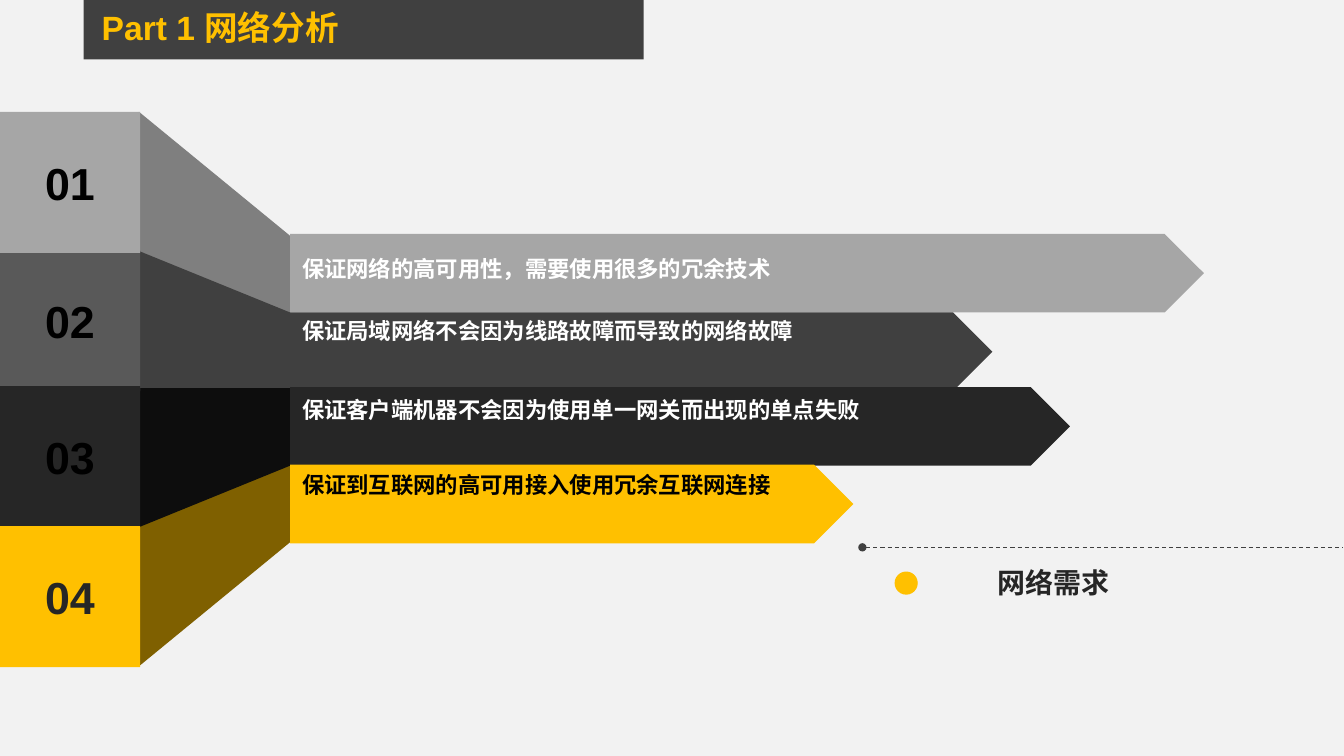
from lxml import etree
from pptx import Presentation
from pptx.dml.color import RGBColor
from pptx.enum.dml import MSO_LINE
from pptx.enum.shapes import MSO_CONNECTOR, MSO_SHAPE
from pptx.enum.text import MSO_ANCHOR, MSO_AUTO_SIZE, PP_ALIGN
from pptx.oxml.ns import qn
from pptx.util import Inches, Pt

RECTANGLE, ARROW, OVAL = MSO_SHAPE.RECTANGLE, MSO_SHAPE.PENTAGON, MSO_SHAPE.OVAL
LEFT, CENTER = PP_ALIGN.LEFT, PP_ALIGN.CENTER
TOP, MIDDLE = MSO_ANCHOR.TOP, MSO_ANCHOR.MIDDLE
STRAIGHT, DASH, NO_AUTOFIT = MSO_CONNECTOR.STRAIGHT, MSO_LINE.DASH, MSO_AUTO_SIZE.NONE

BACKGROUND = RGBColor(0xF2, 0xF2, 0xF2)
WHITE = RGBColor(0xFF, 0xFF, 0xFF)
BLACK = RGBColor(0x00, 0x00, 0x00)
YELLOW = RGBColor(0xFF, 0xC0, 0x00)
DARK_YELLOW = RGBColor(0x7F, 0x60, 0x00)
LIGHT_GRAY = RGBColor(0xA6, 0xA6, 0xA6)
MID_GRAY = RGBColor(0x7F, 0x7F, 0x7F)
SLATE = RGBColor(0x59, 0x59, 0x59)
DARK_GRAY = RGBColor(0x40, 0x40, 0x40)
CHARCOAL = RGBColor(0x26, 0x26, 0x26)
NEAR_BLACK = RGBColor(0x0D, 0x0D, 0x0D)

FONT = "Arial"
CELL_WIDTH, CELL_HEIGHT = 1.39, 1.4
ARROW_LEFT, ARROW_HEIGHT = 2.88, 0.78

# number, top, fill, number colour; the first cell overlaps the second
CELLS = [
    ("02", 1.37, SLATE, BLACK),
    ("03", 2.72, CHARCOAL, BLACK),
    ("04", 4.11, YELLOW, CHARCOAL),
    ("01", 0, LIGHT_GRAY, BLACK),
]
# outer edge at the cells, outer edge at the arrows, inner edge, fill
FACES = [
    (0, 1.23, 2.76, MID_GRAY),
    (1.38, 1.99, 2.76, DARK_GRAY),
    (5.5, 4.27, 2.74, DARK_YELLOW),
    (4.12, 3.51, 2.74, NEAR_BLACK),
]
# label, top, width, fill, text colour, label offset, label width
ARROWS = [
    ("保证网络的高可用性，需要使用很多的冗余技术", 1.21, 9.07, LIGHT_GRAY, WHITE, 0.16, 4.85),
    ("保证局域网络不会因为线路故障而导致的网络故障", 1.99, 6.97, DARK_GRAY, WHITE, 0, 5.12),
    ("保证客户端机器不会因为使用单一网关而出现的单点失败", 2.73, 7.74, CHARCOAL, WHITE, 0.04, 5.74),
    ("保证到互联网的高可用接入使用冗余互联网连接", 3.5, 5.59, YELLOW, BLACK, 0.01, 4.85),
]


def paint(shape, color):
    shape.shadow.inherit = False
    shape.fill.solid()
    shape.fill.fore_color.rgb = color
    shape.line.fill.background()


def add_block(slide, kind, box, color):
    shape = slide.shapes.add_shape(kind, *map(Inches, box))
    paint(shape, color)
    return shape


def write(shape, text, size, color, align=LEFT, anchor=TOP, wrap=True, line_spacing=None):
    frame = shape.text_frame
    frame.auto_size = NO_AUTOFIT
    frame.word_wrap = wrap
    frame.vertical_anchor = anchor
    paragraph = frame.paragraphs[0]
    paragraph.text = text
    paragraph.alignment = align
    paragraph.space_before = Pt(0)
    paragraph.line_spacing = line_spacing
    font = paragraph.runs[0].font
    font.name, font.size, font.bold = FONT, Pt(size), True
    font.color.rgb = color


def add_label(slide, box, text, size, color, **text_format):
    label = slide.shapes.add_textbox(*map(Inches, box))
    write(label, text, size, color, wrap=False, **text_format)


def add_header(slide, box):
    left, top, width, height = box
    add_block(slide, RECTANGLE, box, DARK_GRAY)
    title = slide.shapes.title
    title.left, title.top = Inches(left + 0.08), Inches(top + 0.06)
    title.width, title.height = Inches(3.74), Inches(0.51)
    write(title, "Part 1 网络分析", 24, YELLOW, line_spacing=0.9)
    # The title belongs in front of its bar
    title.element.getparent().append(title.element)


def add_faces(slide, box):
    """Draw the slanted faces that join the number cells to the arrows."""
    left, top, width, height = box
    right = left + width
    for near, far, inner, color in FACES:
        corners = [(right, far), (left, near), (left, inner), (right, inner)]
        points = [(Inches(x), Inches(top + y)) for x, y in corners]
        builder = slide.shapes.build_freeform(*points[0])
        builder.add_line_segments(points[1:])
        paint(builder.convert_to_shape(), color)


def add_cells(slide, box):
    left, top, width, height = box
    for number, offset, fill, color in CELLS:
        cell = add_block(slide, RECTANGLE, (left, top + offset, width, CELL_HEIGHT), fill)
        write(cell, number, 32, color, align=CENTER, anchor=MIDDLE)


def add_arrows(slide, box):
    left, top = box[:2]
    for text, offset, width, fill, color, label_offset, label_width in ARROWS:
        arrow_top = top + offset
        add_block(slide, ARROW, (left, arrow_top, width, ARROW_HEIGHT), fill)
        label_box = (left + 0.02, arrow_top + label_offset, label_width, 0.37)
        add_label(slide, label_box, text, 16, color)


def add_footer(slide, box):
    """Draw the dashed rule with the dot and topic below it."""
    left, top, width, height = box
    rule = slide.shapes.add_connector(
        STRAIGHT, Inches(left), Inches(top), Inches(left + width), Inches(top))
    rule.line.color.rgb = DARK_GRAY
    rule.line.width = Pt(0.75)
    rule.line.dash_style = DASH
    etree.SubElement(rule.line._get_or_add_ln(), qn("a:headEnd"), type="oval")
    etree.SubElement(rule.element.spPr, qn("a:effectLst"))
    add_label(slide, (left + 1.24, top + 0.13, 1.31, 0.44), "网络需求", 20, CHARCOAL, align=CENTER)
    add_block(slide, OVAL, (left + 0.32, top + 0.24, 0.23, 0.23), YELLOW)


def main():
    presentation = Presentation()
    presentation.slide_width, presentation.slide_height = Inches(13.34), Inches(7.5)
    slide = presentation.slides.add_slide(presentation.slide_layouts[5])
    slide.background.fill.solid()
    slide.background.fill.fore_color.rgb = BACKGROUND
    add_header(slide, (0.83, 0, 5.56, 0.59))
    add_faces(slide, (1.38, 1.11, 1.5, 5.5))
    add_cells(slide, (0, 1.11, CELL_WIDTH, 5.51))
    add_arrows(slide, (ARROW_LEFT, 1.11, 9.07, 4.28))
    add_footer(slide, (8.56, 5.43, 4.77, 0.57))
    presentation.save("out.pptx")


if __name__ == "__main__":
    main()
